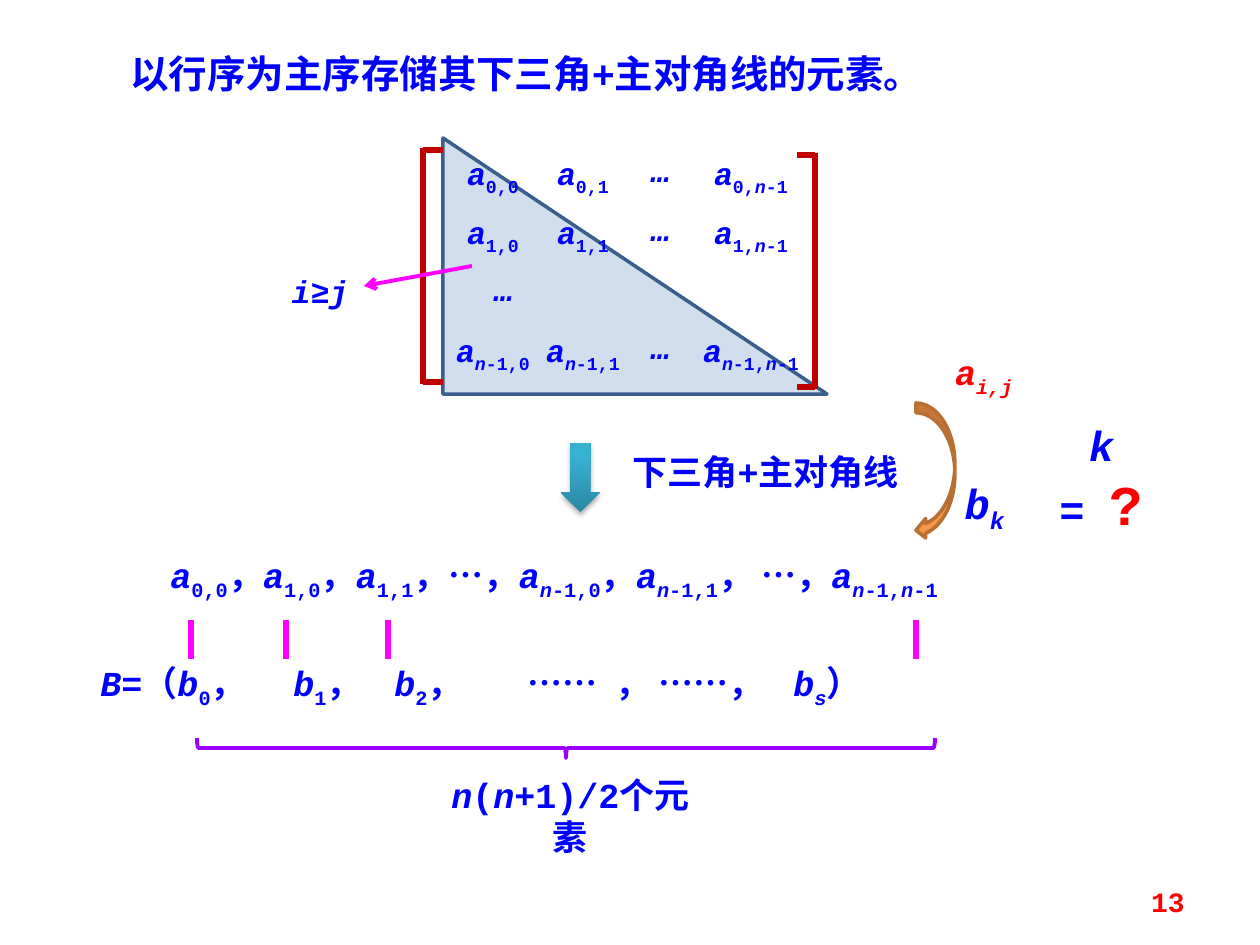
from lxml import etree
from pptx import Presentation
from pptx.dml.color import RGBColor
from pptx.enum.shapes import MSO_CONNECTOR, MSO_SHAPE
from pptx.enum.text import MSO_ANCHOR, MSO_AUTO_SIZE, PP_ALIGN
from pptx.oxml.ns import qn
from pptx.util import Emu, Pt

EMU_PER_PX = 914400 / 126
FONT = "Courier New"
BLUE, RED, MAGENTA, DARK_RED = "0000FF", "FF0000", "FF00FF", "C00000"
LEFT, CENTER, RIGHT = PP_ALIGN.LEFT, PP_ALIGN.CENTER, PP_ALIGN.RIGHT
TOP, MIDDLE = MSO_ANCHOR.TOP, MSO_ANCHOR.MIDDLE
GROW, FIXED = MSO_AUTO_SIZE.SHAPE_TO_FIT_TEXT, MSO_AUTO_SIZE.NONE
STRAIGHT = MSO_CONNECTOR.STRAIGHT
TRIANGLE, DOWN_ARROW = MSO_SHAPE.RIGHT_TRIANGLE, MSO_SHAPE.DOWN_ARROW
BRACE, CURVED_ARROW = MSO_SHAPE.LEFT_BRACE, MSO_SHAPE.CURVED_LEFT_ARROW


def px(value):
    return Emu(round(value * EMU_PER_PX))


def color(hex_string):
    return RGBColor.from_string(hex_string)


def add_child(parent, tag, **attributes):
    child = etree.SubElement(parent, qn(tag))
    for name, value in attributes.items():
        child.set(name, str(value))
    return child


def add_runs(paragraph, text, size=20, hex_color=BLUE):
    """Write text in which * toggles italic and _ toggles subscript."""
    italic = False
    for level, piece in enumerate(text.split("_")):
        for index, part in enumerate(piece.split("*")):
            if index:
                italic = not italic
            if not part:
                continue
            run = paragraph.add_run()
            run.text = part
            run.font.name = FONT
            run.font.size = Pt(size)
            run.font.bold = True
            run.font.italic = italic
            run.font.color.rgb = color(hex_color)
            if level % 2:
                run.font._element.set("baseline", "-25000")


def fill_frame(frame, text, align=LEFT, anchor=TOP, auto_size=GROW, inset=None, tabs=(), **font):
    frame.word_wrap = True
    frame.auto_size = auto_size
    frame.vertical_anchor = anchor
    if inset is not None:
        frame.margin_left = frame.margin_right = px(inset)
        frame.margin_top = frame.margin_bottom = px(inset)
    paragraph = frame.paragraphs[0]
    paragraph.alignment = align
    if tabs:
        tab_list = add_child(paragraph._p.get_or_add_pPr(), "a:tabLst")
        for position in tabs:
            add_child(tab_list, "a:tab", pos=px(position), algn="l")
    add_runs(paragraph, text, **font)
    return paragraph


def add_text(slide, text, left, top, width, height, **options):
    box = slide.shapes.add_textbox(px(left), px(top), px(width), px(height))
    return fill_frame(box.text_frame, text, **options)


def add_title(slide, text, left, top, width, height):
    title = slide.shapes.title
    title.left, title.top = px(left), px(top)
    title.width, title.height = px(width), px(height)
    fill_frame(title.text_frame, text, auto_size=FIXED, size=22)


def add_shape(slide, kind, left, top, width, height, fill=None, line=None, weight=2):
    shape = slide.shapes.add_shape(kind, px(left), px(top), px(width), px(height))
    shape.shadow.inherit = False
    if fill:
        shape.fill.solid()
        shape.fill.fore_color.rgb = color(fill)
    else:
        shape.fill.background()
    if line:
        shape.line.color.rgb = color(line)
        shape.line.width = Pt(weight)
    else:
        shape.line.fill.background()
    return shape


def add_line(slide, start, end, hex_color, weight=3, arrow=False):
    connector = slide.shapes.add_connector(STRAIGHT, *map(px, start + end))
    connector.line.color.rgb = color(hex_color)
    connector.line.width = Pt(weight)
    properties = connector.element.spPr
    if arrow:
        add_child(properties.find(qn("a:ln")), "a:tailEnd", type="arrow")
    add_child(properties, "a:effectLst")


def add_bracket(slide, spine, tip, top):
    bottom = top + 236
    add_line(slide, (spine, top), (spine, bottom), DARK_RED)
    for y in (top + 2, bottom - 2):
        add_line(slide, (spine, y), (tip, y), DARK_RED)


def add_triangle(slide):
    triangle = add_shape(slide, TRIANGLE, 443, 138, 384, 256, "4F81BD", "3A5F8C")
    fill_color = triangle.element.spPr.find(qn("a:solidFill"))[0]
    add_child(fill_color, "a:alpha", val=26000)


def add_matrix(slide):
    column_lefts = (443, 533, 701)
    columns = ("0", "1", "*n*-1")
    first_top, pitch = 154, 59
    cell = dict(align=CENTER, inset=0, size=18)
    for row, row_index in ((0, "0"), (1, "1"), (3, "*n*-1")):
        top = first_top + row * pitch
        for left, column_index in zip(column_lefts, columns):
            add_text(slide, f"*a*_{row_index},{column_index}_", left, top, 100, 38, **cell)
        add_text(slide, "*…*", 621, top - 3, 79, 38, **cell)
    add_text(slide, "*…*", 464, first_top + 2 * pitch - 2, 79, 38, **cell)
    add_bracket(slide, 423, 443, 148)
    add_bracket(slide, 815, 797, 153)


def add_down_arrow(slide):
    arrow = add_shape(slide, DOWN_ARROW, 561, 443, 39, 69)
    arrow.fill.gradient()
    arrow.fill.gradient_angle = 90
    stops = arrow.fill.gradient_stops
    for stop, position, hex_color in zip(stops, (0, 0.8), ("2A88A2", "37B1D2")):
        stop.position = position
        stop.color.rgb = color(hex_color)
    effects = arrow.element.spPr.find(qn("a:effectLst"))
    shadow = add_child(effects, "a:outerShdw", blurRad=Pt(3.1), dist=Pt(1.8),
                       dir=5400000, rotWithShape=0)
    add_child(add_child(shadow, "a:srgbClr", val="000000"), "a:alpha", val=35000)


def add_sequences(slide):
    add_text(slide, "*a*_0,0_，*a*_1,0_，*a*_1,1_，…，*a_n*-1,0_，*a_n*-1,1_， …，*a_n*-1,*n*-1_",
             158, 547, 896, 55)
    add_text(slide, "*B*=（*b*_0_，\t*b*_1_，\t*b*_2_，\t……\t， ……，\t*b_s*_）",
             88, 655, 984, 55, tabs=(193, 294, 427, 515, 693))
    for x in (191, 286, 388, 916):
        add_line(slide, (x, 620), (x, 659), MAGENTA)
    add_text(slide, "*n*(*n*+1)/2个元素", 423, 767, 295, 55, align=CENTER)
    brace = add_shape(slide, BRACE, 556, 379, 20, 738, line="9900FF", weight=2.25)
    brace.rotation = 270


def add_mapping(slide):
    add_shape(slide, CURVED_ARROW, 916, 403, 39, 137, "F79646", "B76F34")
    add_text(slide, "*a_i,j_*", 935, 344, 98, 55, align=CENTER, hex_color=RED)
    add_text(slide, "*b_k_*", 945, 471, 79, 63, align=CENTER, size=24)
    question = add_text(slide, "*k *= ", 1033, 413, 137, 81, align=CENTER, size=24)
    add_runs(question, "?", size=32, hex_color=RED)


def main():
    presentation = Presentation()
    presentation.slide_width, presentation.slide_height = px(1260), px(945)
    slide = presentation.slides.add_slide(presentation.slide_layouts[5])
    add_title(slide, "以行序为主序存储其下三角+主对角线的元素。", 118, 44, 925, 59)
    add_triangle(slide)
    add_matrix(slide)
    add_line(slide, (472, 266), (364, 286), MAGENTA, 2.25, arrow=True)
    add_text(slide, "*i*≥*j*", 256, 266, 128, 50, align=CENTER, size=18)
    add_down_arrow(slide)
    add_text(slide, "下三角+主对角线", 620, 444, 329, 55)
    add_sequences(slide)
    add_mapping(slide)
    add_text(slide, "13", 903, 876, 294, 50, align=RIGHT, anchor=MIDDLE,
             auto_size=FIXED, size=16, hex_color=RED)
    presentation.save("out.pptx")


if __name__ == "__main__":
    main()
